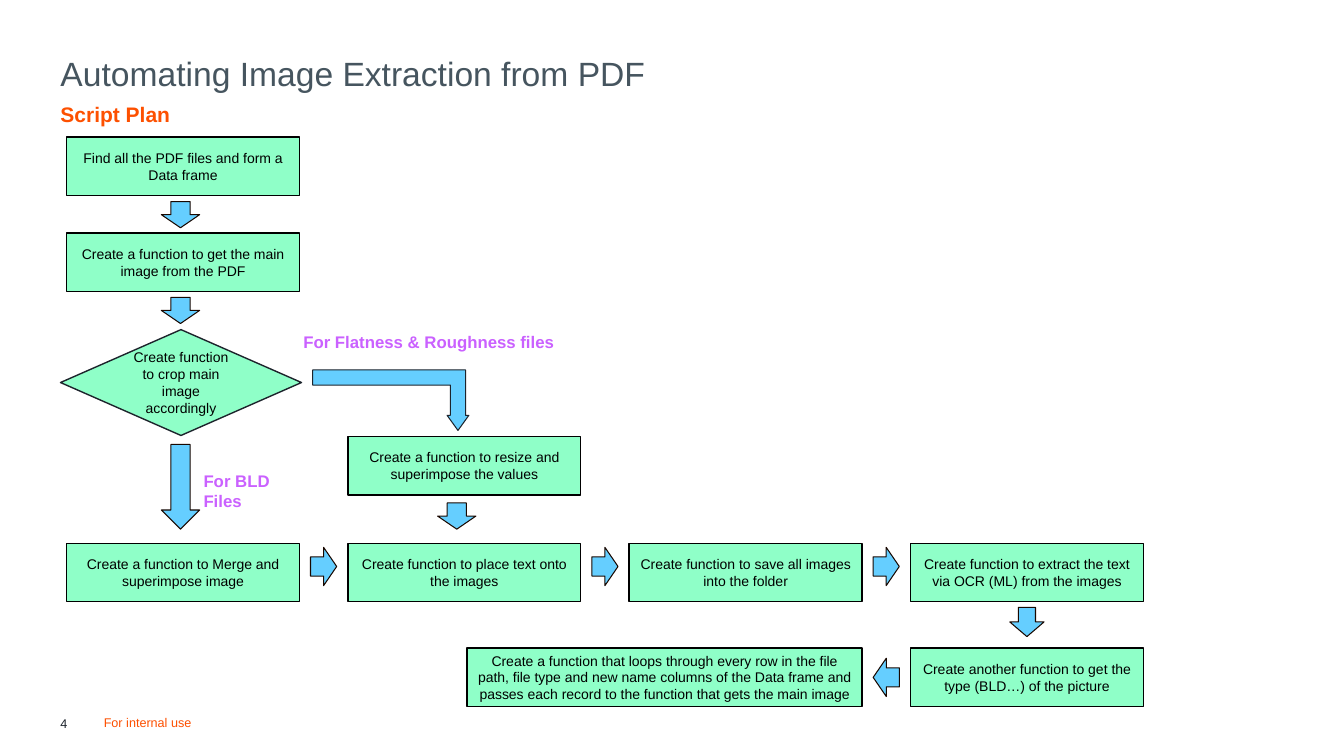
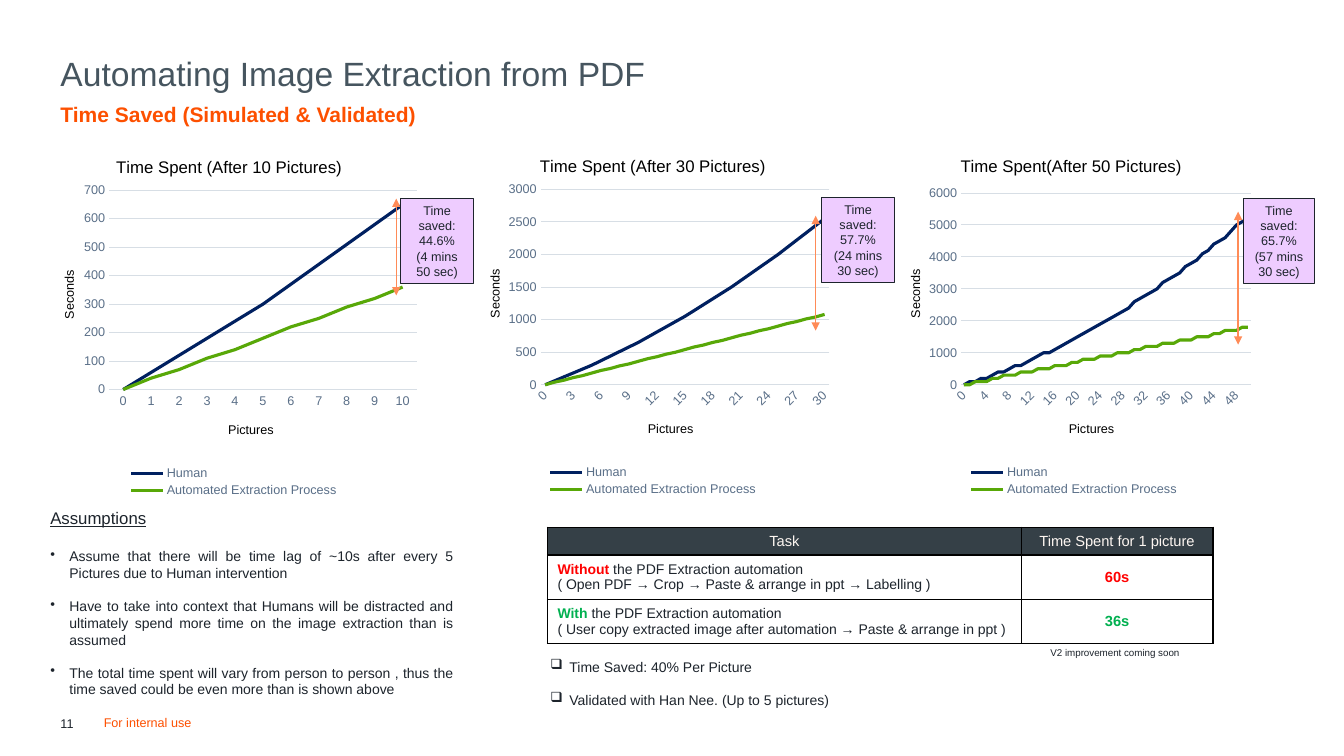
from dataclasses import dataclass

from lxml import etree
from pptx import Presentation
from pptx.chart.data import CategoryChartData
from pptx.dml.color import RGBColor
from pptx.enum.chart import XL_CHART_TYPE, XL_LEGEND_POSITION, XL_TICK_MARK
from pptx.enum.shapes import MSO_CONNECTOR, MSO_SHAPE
from pptx.enum.text import MSO_ANCHOR, PP_ALIGN
from pptx.oxml import parse_xml
from pptx.oxml.ns import nsdecls, qn
from pptx.util import Inches, Pt

LEFT, CENTER, JUSTIFY = PP_ALIGN.LEFT, PP_ALIGN.CENTER, PP_ALIGN.JUSTIFY
TOP, MIDDLE = MSO_ANCHOR.TOP, MSO_ANCHOR.MIDDLE
RECT, DECISION = MSO_SHAPE.RECTANGLE, MSO_SHAPE.FLOWCHART_DECISION
ARROW, BENT_ARROW = MSO_SHAPE.RIGHT_ARROW, MSO_SHAPE.BENT_UP_ARROW
STRAIGHT = MSO_CONNECTOR.STRAIGHT
LINE_CHART, LEGEND_BOTTOM = XL_CHART_TYPE.LINE, XL_LEGEND_POSITION.BOTTOM
NO_TICK = XL_TICK_MARK.NONE


@dataclass(frozen=True)
class Theme:
    font: str = "Arial"
    heading: str = "46555F"
    accent: str = "FD5000"
    ink: str = "1D242C"
    black: str = "000000"
    white: str = "FFFFFF"
    step: str = "8FFFC8"
    arrow: str = "65CEFF"
    arrow_edge: str = "190800"
    branch: str = "CA61FF"
    callout: str = "EECCFF"
    span: str = "FF8B57"
    grid: str = "D7DEE5"
    axis: str = "5A6F88"
    human: str = "002060"
    automated: str = "58A808"
    table_head: str = "354047"
    table_head_text: str = "FDF6F1"
    slow: str = "FF0000"
    fast: str = "00B050"
    title_size: float = 24
    subtitle_size: float = 15
    label_size: float = 12
    table_size: float = 10.5
    text_size: float = 10
    small_size: float = 9
    note_size: float = 7


THEME = Theme()


def rgb(color):
    return RGBColor.from_string(color)


def assign(target, **values):
    for name, value in values.items():
        setattr(target, name, value)


def style_font(font, size, color, **extra):
    assign(font, **{"name": THEME.font, "size": Pt(size), "bold": False, **extra})
    font.color.rgb = rgb(color)


def style_line(line, color, width):
    line.color.rgb = rgb(color)
    line.width = Pt(width)


def place(element, index, x, y, size=None):
    layout = element.find(qn("c:layout"))
    if layout is not None:
        element.remove(layout)
    target = '<c:layoutTarget val="inner"/>' if element.tag == qn("c:plotArea") else ""
    extent = f'<c:w val="{size[0]}"/><c:h val="{size[1]}"/>' if size else ""
    element.insert(index, parse_xml(
        f'<c:layout {nsdecls("c")}><c:manualLayout>{target}'
        '<c:xMode val="edge"/><c:yMode val="edge"/>'
        f'<c:x val="{x}"/><c:y val="{y}"/>{extent}</c:manualLayout></c:layout>'))


class Deck:
    def __init__(self):
        self.presentation = Presentation()
        assign(self.presentation, slide_width=Inches(13.33), slide_height=Inches(7.5))

    def start(self, number, subtitle):
        layout = self.presentation.slide_layouts[5]
        self.slide = self.presentation.slides.add_slide(layout)
        title = self.slide.shapes.title
        assign(title, left=Inches(0.6), top=Inches(0.57), width=Inches(12.11), height=Inches(0.36))
        self.set_text(title.text_frame, ["Automating Image Extraction from PDF"],
                      THEME.title_size, THEME.heading, inset=0, line_spacing=0.9)
        self.text((0.6, 0.98, 12.11, 0.54), [subtitle], THEME.subtitle_size, THEME.accent,
                  inset=0, line_spacing=1.1, space_before=Pt(5), bold=True)
        self.text((0.6, 7.1, 0.28, 0.15), [number], THEME.small_size, THEME.ink, inset=0)
        self.text((1.03, 7.09, 1.87, 0.15), ["For internal use"], THEME.small_size,
                  THEME.accent, inset=0)

    def set_text(self, frame, paragraphs, size, color, align=LEFT, anchor=TOP, inset=None,
                 line_spacing=1.0, space_before=Pt(0), **font):
        assign(frame, word_wrap=True, vertical_anchor=anchor)
        if inset is not None:
            assign(frame, **dict.fromkeys(
                ("margin_left", "margin_right", "margin_top", "margin_bottom"), Inches(inset)))
        for index, content in enumerate(paragraphs):
            paragraph = frame.paragraphs[0] if index == 0 else frame.add_paragraph()
            assign(paragraph, alignment=align, line_spacing=line_spacing,
                   space_before=space_before)
            runs = [(content, {})] if isinstance(content, str) else content
            for words, changes in runs:
                run = paragraph.add_run()
                run.text = words
                style_font(run.font, **{"size": size, "color": color, **font, **changes})

    def text(self, at, paragraphs, size, color, **options):
        box = self.slide.shapes.add_textbox(*map(Inches, at))
        self.set_text(box.text_frame, paragraphs, size, color, **options)
        return box.text_frame

    def bullet(self, paragraph, mark, gap):
        paragraph.space_before = Pt(gap)
        properties = paragraph._p.get_or_add_pPr()
        for name, indent in (("marL", Inches(0.19)), ("indent", -Inches(0.19))):
            properties.set(name, str(indent))
        etree.SubElement(properties, qn("a:buChar"), char=mark)

    def shape(self, kind, at, fill, edge, width, paragraphs=(), size=THEME.text_size,
              color=THEME.black):
        shape = self.slide.shapes.add_shape(kind, *map(Inches, at))
        shape.shadow.inherit = False
        shape.fill.solid()
        shape.fill.fore_color.rgb = rgb(fill)
        style_line(shape.line, edge, width)
        self.set_text(shape.text_frame, paragraphs, size, color, align=CENTER, anchor=MIDDLE)
        return shape

    def step(self, left, top, words, width=2.31):
        self.shape(RECT, (left, top, width, 0.58), THEME.step, THEME.black, 1, [words])

    def arrow(self, left, top, rotation=0, length=0.26, breadth=0.38):
        arrow = self.shape(ARROW, (left, top, length, breadth), THEME.arrow,
                           THEME.arrow_edge, 0.75)
        arrow.rotation = rotation

    def span(self, x, top, bottom):
        line = self.slide.shapes.add_connector(STRAIGHT, *map(Inches, (x, top, x, bottom)))
        style_line(line.line, THEME.span, 1)
        outline = line.line._get_or_add_ln()
        for end in ("a:headEnd", "a:tailEnd"):
            etree.SubElement(outline, qn(end), type="triangle")
        etree.SubElement(line._element.spPr, qn("a:effectLst"))

    def chart(self, at, title, categories, series, plot):
        data = CategoryChartData()
        data.categories = categories
        for name, values, _ in series:
            data.add_series(name, values)
        chart = self.slide.shapes.add_chart(LINE_CHART, *map(Inches, at), data).chart
        style_font(chart.font, THEME.text_size, THEME.ink)
        assign(chart, has_title=True, has_legend=True)
        chart.plots[0].vary_by_categories = False
        for line, (_, _, color) in zip(chart.plots[0].series, series):
            line.smooth = False
            style_line(line.format.line, color, 2.25)

        across, up = chart.category_axis, chart.value_axis
        for axis in (across, up):
            assign(axis, has_title=True, major_tick_mark=NO_TICK, minor_tick_mark=NO_TICK)
            style_font(axis.tick_labels.font, THEME.small_size, THEME.axis)
        across._element.txPr.bodyPr.set("rot", "-60000000")
        style_line(across.format.line, THEME.grid, 0.75)
        up.format.line.fill.background()
        style_line(up.major_gridlines.format.line, THEME.grid, 0.75)

        for heading, words, size, x, y in (
                (chart.chart_title, title, THEME.label_size, 0.2, 0.05),
                (across.axis_title, "Pictures", THEME.small_size, 0.49, 0.77),
                (up.axis_title, "Seconds", THEME.small_size, 0.06, 0.36)):
            run = heading.text_frame.paragraphs[0].add_run()
            run.text = words
            style_font(run.font, size, THEME.black)
            place(heading._element, 1, x, y)
        up.axis_title.text_frame._txBody.bodyPr.set("rot", "-5400000")

        assign(chart.legend, position=LEGEND_BOTTOM, include_in_layout=False)
        style_font(chart.legend.font, THEME.small_size, THEME.axis)
        place(chart.legend._element, 1, 0.22, 0.89, (0.58, 0.1))
        place(chart._chartSpace.chart.plotArea, 0, *plot[:2], plot[2:])

    def table(self, at, widths, heights, rows):
        table = self.slide.shapes.add_table(
            len(rows), len(widths), *map(Inches, at)).table
        table.horz_banding = False
        for column, width in zip(table.columns, widths):
            column.width = Inches(width)
        for row, height, contents in zip(table.rows, heights, rows):
            row.height = Inches(height)
            for cell, (paragraphs, fill, options) in zip(row.cells, contents):
                cell.fill.solid()
                cell.fill.fore_color.rgb = rgb(fill)
                cell.vertical_anchor = MIDDLE
                self.set_text(cell.text_frame, paragraphs, **options)
                properties = cell._tc.get_or_add_tcPr()
                for index, side in enumerate("LRTB"):
                    properties.insert(index, parse_xml(
                        f'<a:ln{side} {nsdecls("a")} w="12700"><a:solidFill>'
                        f'<a:srgbClr val="{THEME.black}"/></a:solidFill></a:ln{side}>'))


def script_plan(deck):
    deck.start("4", "Script Plan")
    columns = [0.66 + 2.79 * index for index in range(4)]
    first, second, third, last = columns
    merge_row, loop_row = 5.39, 6.43

    deck.step(first, 1.36, "Find all the PDF files and form a Data frame")
    deck.step(first, 2.31, "Create a function to get the main image from the PDF")
    deck.shape(DECISION, (0.6, 3.27, 2.39, 1.05), THEME.step, THEME.ink, 1,
               ["Create function to crop main image accordingly"])
    deck.step(second, 4.33, "Create a function to resize and superimpose the values")
    for left, words in zip(columns, (
            "Create a function to Merge and superimpose image",
            "Create function to place text onto the images",
            "Create function to save all images into the folder",
            "Create function to extract the text via OCR (ML) from the images")):
        deck.step(left, merge_row, words)
    deck.step(last, loop_row, "Create another function to get the type (BLD…) of the picture")
    deck.step(4.63, loop_row,
              "Create a function that loops through every row in the file path, file type and "
              "new name columns of the Data frame and passes each record to the function that "
              "gets the main image", width=3.92)

    for left, top in ((1.66, 1.94), (1.66, 2.89), (4.4, 4.93)):
        deck.arrow(left, top, 90)
    deck.arrow(1.37, 4.64, 90, length=0.84)
    deck.arrow(10.04, 6, 90, length=0.29, breadth=0.34)
    for left in (second, third, last):
        deck.arrow(left - 0.37, 5.43)
    deck.arrow(last - 0.37, 6.53, 180)
    bend = deck.shape(BENT_ARROW, (3.1, 3.67, 1.55, 0.6), THEME.arrow, THEME.ink, 0.75)
    for index, value in enumerate((0.25, 0.18, 0.25)):
        bend.adjustments[index] = value
    bend.rotation = 180
    bend._element.spPr.get_or_add_xfrm().set("flipH", "1")

    for at, words in (((1.92, 4.62, 1.08, 0.5), "For BLD Files"),
                      ((2.91, 3.24, 3.25, 0.3), "For Flatness & Roughness files")):
        deck.text(at, [words], THEME.label_size, THEME.branch, bold=True)


def human_seconds(pictures):
    return sum(60 + 10 * (done // 5) for done in range(pictures))


def time_saved(deck):
    deck.start("11", "Time Saved (Simulated & Validated)")
    for count, digits, title, at, plot, span, callout, saved in (
            (10, -1, "Time Spent (After 10 Pictures)", (0.35, 1.34, 3.86, 3.66),
             (0.19, 0.15, 0.79, 0.54), (3.93, 1.97, 2.93), (3.97, 1.97, 0.73, 0.84),
             ("44.6%", "(4 mins 50 sec)")),
            (30, -1, "Time Spent (After 30 Pictures)", (4.58, 1.33, 3.72, 3.66),
             (0.21, 0.15, 0.77, 0.53), (8.09, 2.14, 3.28), (8.15, 1.96, 0.72, 0.84),
             ("57.7%", "(24 mins 30 sec)")),
            (50, -2, "Time Spent(After 50 Pictures)", (8.75, 1.33, 3.73, 3.66),
             (0.21, 0.16, 0.77, 0.52), (12.28, 2.1, 3.42), (12.33, 1.97, 0.71, 0.84),
             ("65.7%", "(57 mins 30 sec)"))):
        pictures = range(count + 1)
        deck.chart(at, title, [str(done) for done in pictures], (
            ("Human", [round(human_seconds(done), digits) for done in pictures], THEME.human),
            ("Automated Extraction Process", [round(36 * done, digits) for done in pictures],
             THEME.automated)), plot)
        deck.span(*span)
        deck.shape(RECT, callout, THEME.callout, THEME.ink, 0.5,
                   [f"Time saved: {saved[0]}", saved[1]], THEME.small_size, THEME.ink)

    assumptions = deck.text((0.4, 4.99, 4.19, 2.39), [
        [("Assumptions", {"size": THEME.label_size, "underline": True})],
        "Assume that there will be time lag of ~10s after every 5 Pictures due to Human "
        "intervention",
        "Have to take into context that Humans will be distracted and ultimately spend more "
        "time on the image extraction than is assumed",
        "The total time spent will vary from person to person , thus the time saved could be "
        "even more than is shown above"], THEME.text_size, THEME.ink, align=JUSTIFY)
    for paragraph, gap in zip(assumptions.paragraphs[1:], (14, 11.5, 11.5)):
        deck.bullet(paragraph, "•", gap)

    head = {"size": THEME.table_size, "color": THEME.table_head_text, "align": CENTER}
    body = {"size": THEME.text_size, "color": THEME.ink}
    rows = [[([words], THEME.table_head, head) for words in ("Task", "Time Spent for 1 picture")]]
    for word, workflow, seconds, color in (
            ("Without", "( Open PDF → Crop → Paste & arrange in ppt → Labelling )",
             "60s", THEME.slow),
            ("With", "( User copy extracted image after automation → Paste & arrange in ppt )",
             "36s", THEME.fast)):
        task = [(word, {"color": color, "bold": True}), (" the PDF Extraction automation", {})]
        rows.append([([task, workflow], THEME.white, body),
                     ([seconds], THEME.white, {**head, "color": color, "bold": True})])
    deck.table((5.43, 5.23, 6.6, 1.14), (4.7, 1.9), (0.27, 0.44, 0.44), rows)

    results = deck.text((5.36, 6.48, 7.86, 0.61), [
        "Time Saved: 40% Per Picture", "Validated with Han Nee. (Up to 5 pictures)"],
        THEME.text_size, THEME.ink)
    for paragraph, gap in zip(results.paragraphs, (0, 11.5)):
        deck.bullet(paragraph, "❑", gap)
    deck.text((10.32, 6.37, 1.71, 0.22), ["V2 improvement coming soon"], THEME.note_size,
              THEME.ink)


def main():
    deck = Deck()
    script_plan(deck)
    time_saved(deck)
    deck.presentation.save("out.pptx")


if __name__ == "__main__":
    main()
